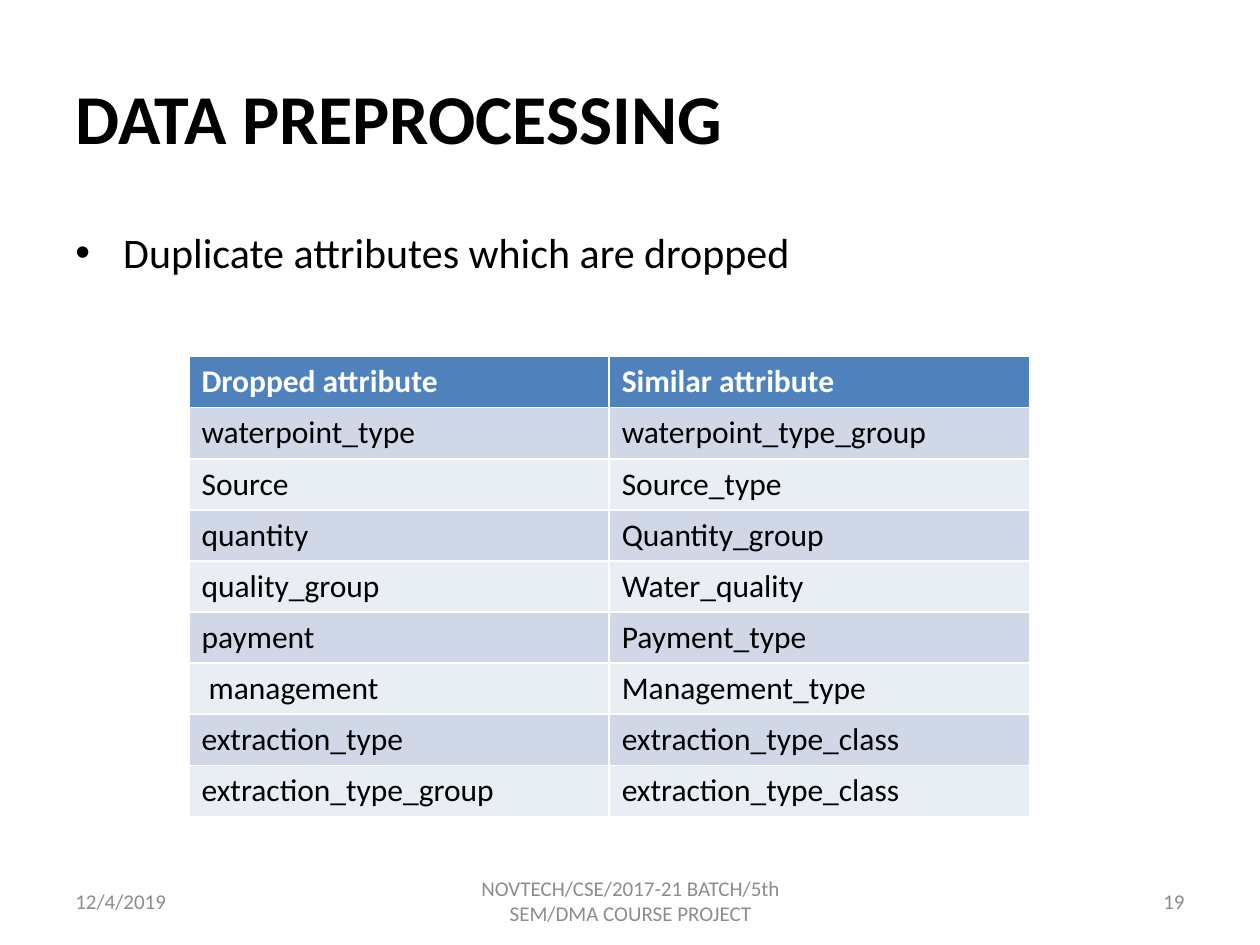
from lxml.etree import SubElement
from pptx import Presentation
from pptx.dml.color import RGBColor
from pptx.enum.text import MSO_ANCHOR, PP_ALIGN
from pptx.oxml.ns import qn
from pptx.util import Inches, Pt

# Content
TITLE = "DATA PREPROCESSING"
BULLET = "Duplicate attributes which are dropped"
ROWS = [
    ("Dropped attribute", "Similar attribute"),
    ("waterpoint_type", "waterpoint_type_group"),
    ("Source", "Source_type"),
    ("quantity", "Quantity_group"),
    ("quality_group", "Water_quality"),
    ("payment", "Payment_type"),
    (" management", "Management_type"),
    ("extraction_type", "extraction_type_class"),
    ("extraction_type_group", "extraction_type_class"),
]
# Footer parts: text, left, width, alignment
FOOTERS = [
    ("12/4/2019", 0.5, 2.33, PP_ALIGN.LEFT),
    ("NOVTECH/CSE/2017-21 BATCH/5th SEM/DMA COURSE PROJECT", 3.42, 3.17, PP_ALIGN.CENTER),
    ("19", 7.17, 2.33, PP_ALIGN.RIGHT),
]

# Formats
TITLE_FONT = {"size": Pt(40), "bold": True}
BODY_FONT = {"size": Pt(24)}
FOOTER_FONT = {"size": Pt(12)}
HEADER_FONT = {"size": Pt(18), "bold": True}
CELL_FONT = {"size": Pt(18), "bold": False}
HEADER_FILL = "4F81BD"
BAND_FILLS = ["D0D8E8", "E9EDF4"]


def color(hex_value):
    return RGBColor.from_string(hex_value)


def write(frame, text, font, hex_value, align=PP_ALIGN.LEFT):
    para = frame.paragraphs[0]
    para.alignment = align
    span = para.add_run()
    span.text = text
    span.font.name = "Calibri"
    span.font.color.rgb = color(hex_value)
    for name, value in font.items():
        setattr(span.font, name, value)
    return para


def add_text_box(page, left, top, width, height, anchor):
    box = page.shapes.add_textbox(Inches(left), Inches(top), Inches(width), Inches(height))
    box.text_frame.word_wrap = True
    box.text_frame.vertical_anchor = anchor
    return box.text_frame


deck = Presentation()
deck.slide_width, deck.slide_height = Inches(10), Inches(7.5)
page = deck.slides.add_slide(deck.slide_layouts[5])

# Title
title = page.shapes.title
title.left, title.top = Inches(0.5), Inches(0.3)
title.width, title.height = Inches(9), Inches(1.25)
title.text_frame.vertical_anchor = MSO_ANCHOR.MIDDLE
write(title.text_frame, TITLE, TITLE_FONT, "000000", PP_ALIGN.JUSTIFY)

# Bullet
body = add_text_box(page, 0.5, 1.75, 9, 4.95, MSO_ANCHOR.TOP)
para = write(body, BULLET, BODY_FONT, "000000")
para.space_before = Pt(4.8)
properties = para._p.get_or_add_pPr()
properties.set("marL", str(Inches(0.38)))
properties.set("indent", str(-Inches(0.38)))
SubElement(properties, qn("a:buFont"), typeface="Arial")
SubElement(properties, qn("a:buChar"), char="•")

# Footer
for text, left, width, align in FOOTERS:
    frame = add_text_box(page, left, 6.95, width, 0.4, MSO_ANCHOR.MIDDLE)
    write(frame, text, FOOTER_FONT, "8C8C8C", align)

# Table of dropped attributes
table = page.shapes.add_table(
    len(ROWS), len(ROWS[0]), Inches(1.5), Inches(2.83), Inches(6.67), Inches(3.65)
).table
for row_index, row in enumerate(ROWS):
    is_header = row_index == 0
    fill = HEADER_FILL if is_header else BAND_FILLS[(row_index - 1) % 2]
    for column_index, text in enumerate(row):
        cell = table.cell(row_index, column_index)
        cell.fill.solid()
        cell.fill.fore_color.rgb = color(fill)
        write(cell.text_frame, text, HEADER_FONT if is_header else CELL_FONT,
              "FFFFFF" if is_header else "000000")

deck.save("out.pptx")
